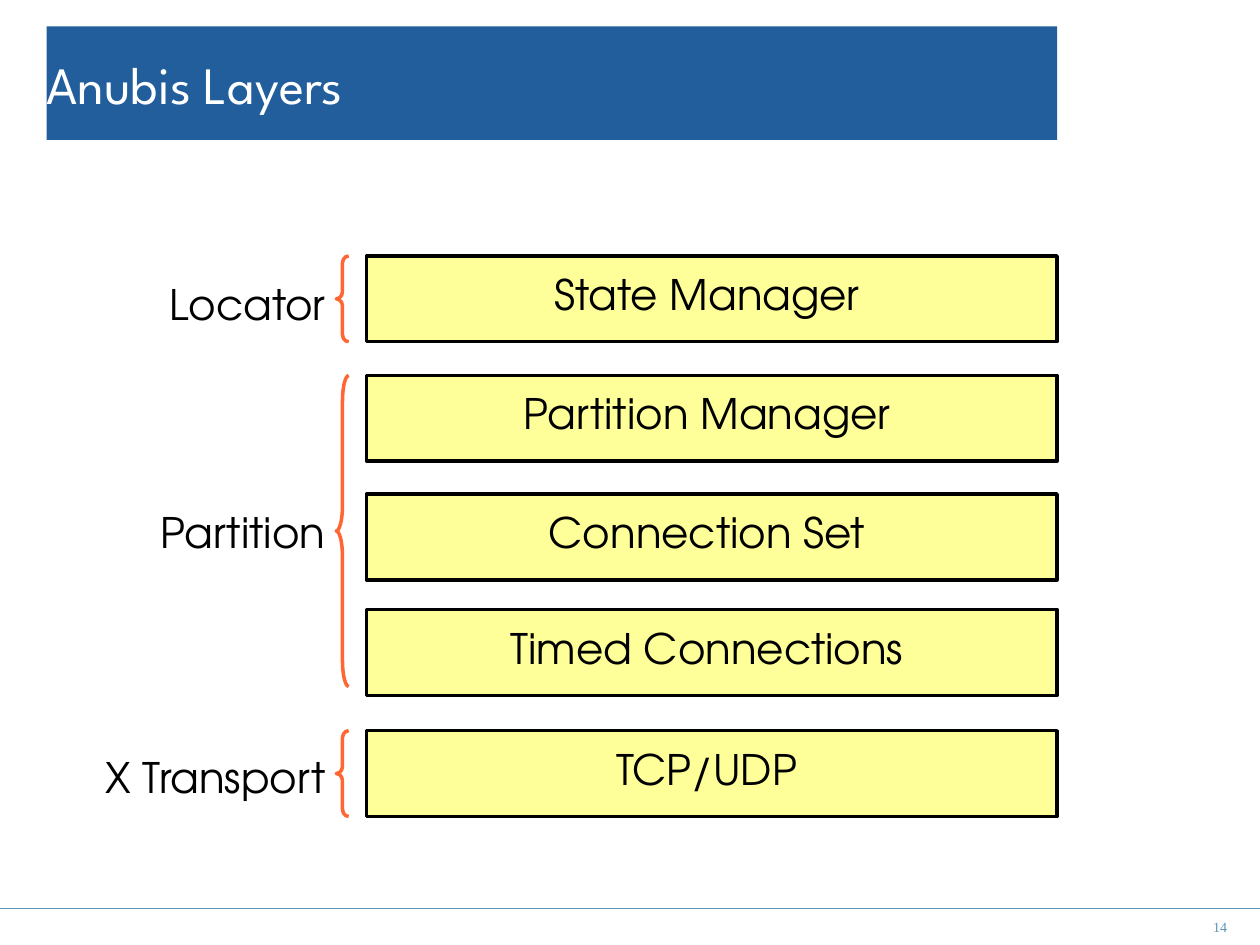
from dataclasses import dataclass

from lxml import etree
from pptx import Presentation
from pptx.dml.color import RGBColor
from pptx.enum.shapes import MSO_CONNECTOR, MSO_SHAPE
from pptx.enum.text import MSO_ANCHOR, MSO_AUTO_SIZE, PP_ALIGN
from pptx.oxml.ns import qn
from pptx.util import Cm, Pt

RECTANGLE, LEFT_BRACE = MSO_SHAPE.RECTANGLE, MSO_SHAPE.LEFT_BRACE
STRAIGHT = MSO_CONNECTOR.STRAIGHT
LEFT, CENTER, RIGHT = PP_ALIGN.LEFT, PP_ALIGN.CENTER, PP_ALIGN.RIGHT
TOP, MIDDLE = MSO_ANCHOR.TOP, MSO_ANCHOR.MIDDLE
NO_FIT = MSO_AUTO_SIZE.NONE


@dataclass(frozen=True)
class Theme:
    banner: RGBColor = RGBColor(0x21, 0x5E, 0x9B)
    title: RGBColor = RGBColor(0xFF, 0xFF, 0xFF)
    footer: RGBColor = RGBColor(0x5A, 0x93, 0xB6)
    layer: RGBColor = RGBColor(0xFF, 0xFF, 0x99)
    ink: RGBColor = RGBColor(0, 0, 0)
    brace: RGBColor = RGBColor(0xFF, 0x66, 0x33)
    title_font: str = "League Spartan"
    body_font: str = "TeX Gyre Adventor"
    footer_font: str = "Times New Roman"
    title_size: Pt = Pt(30)
    body_size: Pt = Pt(24)
    footer_size: Pt = Pt(8)
    outline: Pt = Pt(2)
    rule: Pt = Pt(0.75)


theme = Theme()


def write(box, text, font, size, color, align, anchor, inset):
    frame = box.text_frame
    frame.word_wrap = True
    frame.auto_size = NO_FIT
    frame.vertical_anchor = anchor
    frame.margin_left = frame.margin_right = Cm(inset)
    frame.margin_top = frame.margin_bottom = Cm(inset)
    para = frame.paragraphs[0]
    para.alignment = align
    span = para.add_run()
    span.text = text
    span.font.name = font
    span.font.size = size
    span.font.color.rgb = color


def add_label(text, left, top, width, align):
    box = page.shapes.add_textbox(Cm(left), Cm(top), Cm(width), Cm(1.52))
    write(box, text, theme.body_font, theme.body_size, theme.ink, align, TOP, 0.25)


deck = Presentation()
deck.slide_width, deck.slide_height = Cm(25.4), Cm(19.05)
page = deck.slides.add_slide(deck.slide_layouts[5])

# Title banner
title = page.shapes.title
title.left, title.top, title.width, title.height = Cm(0.94), Cm(0.53), Cm(20.37), Cm(2.29)
title.fill.solid()
title.fill.fore_color.rgb = theme.banner
write(title, "Anubis Layers", theme.title_font, theme.title_size, theme.title, LEFT, MIDDLE, 0)

# Footer rule and page number
rule = page.shapes.add_connector(STRAIGHT, 0, Cm(18.31), deck.slide_width, Cm(18.31))
rule.line.color.rgb = theme.footer
rule.line.width = theme.rule
etree.SubElement(rule._element.spPr, qn("a:effectLst"))
number = page.shapes.add_textbox(Cm(23.62), Cm(18.49), Cm(1.12), Cm(0.38))
write(number, "14", theme.footer_font, theme.footer_size, theme.footer, RIGHT, MIDDLE, 0)

# Layer stack: name, top, label width
layer_height = 1.73
label_center = 14.25
layers = [
    ("State Manager", 5.16, 10.41),
    ("Partition Manager", 7.57, 8.76),
    ("Connection Set", 9.96, 8.76),
    ("Timed Connections", 12.29, 8.76),
    ("TCP/UDP", 14.73, 8.76),
]
for name, top, width in layers:
    layer = page.shapes.add_shape(RECTANGLE, Cm(7.39), Cm(top), Cm(13.92), Cm(layer_height))
    layer.shadow.inherit = False
    layer.fill.solid()
    layer.fill.fore_color.rgb = theme.layer
    layer.line.color.rgb = theme.ink
    layer.line.width = theme.outline
    add_label(name, label_center - width / 2, top, width, CENTER)

# Groups of layers: name, label top, brace top, brace height
brace_width = 0.25
groups = [
    ("Locator", 5.36, 5.16, layer_height),
    ("Partition", 9.96, 7.57, 6.27),
    ("X Transport", 14.91, 14.73, layer_height),
]
for name, label_top, top, height in groups:
    brace = page.shapes.add_shape(LEFT_BRACE, Cm(6.78), Cm(top), Cm(brace_width), Cm(height))
    brace.shadow.inherit = False
    brace.adjustments[0] = height / 12 / brace_width
    brace.fill.background()
    brace.line.color.rgb = theme.brace
    brace.line.width = theme.outline
    add_label(name, -0.56, label_top, 7.37, RIGHT)

deck.save("out.pptx")
